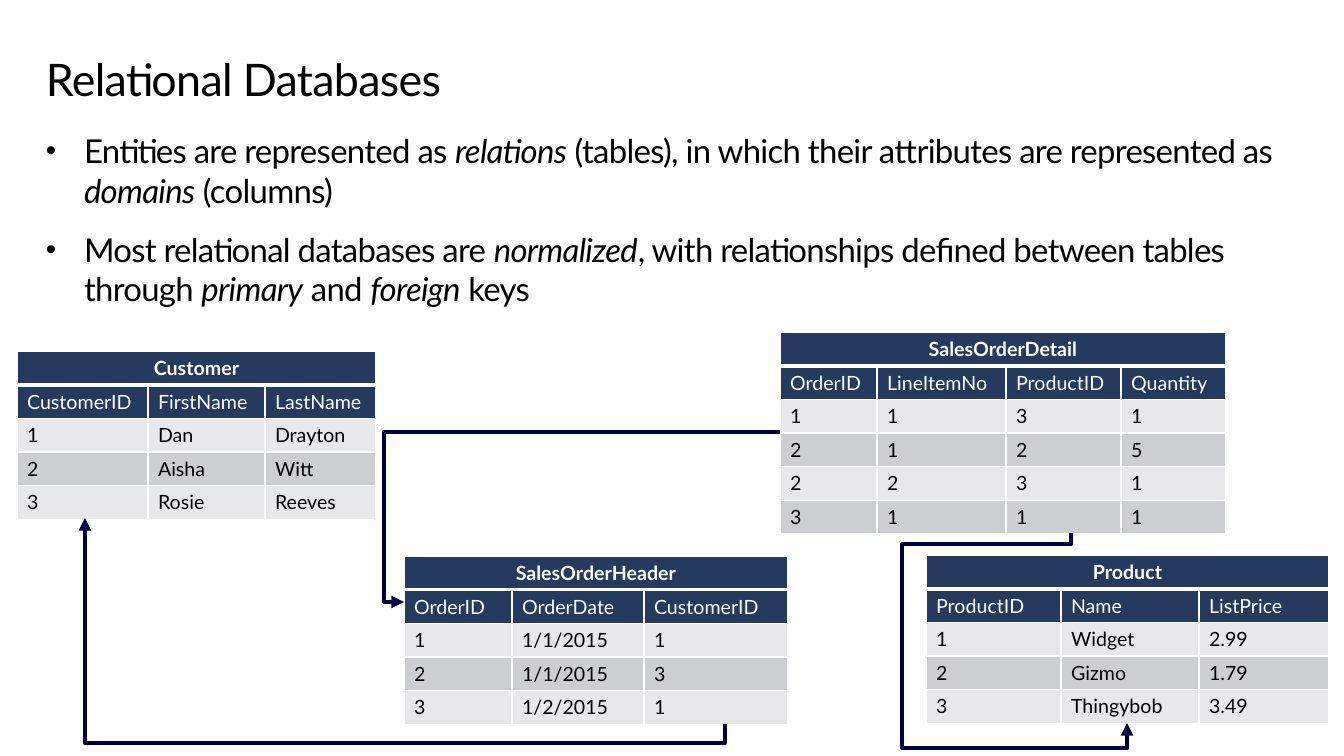
import dataclasses

import lxml.etree
import pptx
import pptx.dml.color
import pptx.enum.shapes
import pptx.enum.text
import pptx.oxml.ns
import pptx.shapes.base
import pptx.slide
import pptx.table
import pptx.text.text
import pptx.util

FONT = "Lato"
NAVY, DEEP, WHITE, BLACK = "243A5E", "000041", "FFFFFF", "000000"
BANDS = "E8E8EA", "CDCED2"
ROW = 33
INDENT = 38

qn = pptx.oxml.ns.qn


@dataclasses.dataclass
class Grid:
    name: str
    left: int
    top: int
    widths: list[int]
    rows: list[str]


@dataclasses.dataclass
class Elbow:
    left: int
    top: int
    width: int
    height: int
    turn: int
    flip: str
    bends: list[int]


GRIDS = [
    Grid("SalesOrderDetail", 780, 332, [97, 129, 115, 105],
         ["OrderID LineItemNo ProductID Quantity",
          "1 1 3 1", "2 1 2 5", "2 2 3 1", "3 1 1 1"]),
    Grid("Customer", 17, 351, [131, 117, 111],
         ["CustomerID FirstName LastName",
          "1 Dan Drayton", "2 Aisha Witt", "3 Rosie Reeves"]),
    Grid("Product", 926, 555, [135, 138, 130],
         ["ProductID Name ListPrice",
          "1 Widget 2.99", "2 Gizmo 1.79", "3 Thingybob 3.49"]),
    Grid("SalesOrderHeader", 404, 556, [108, 132, 144],
         ["OrderID OrderDate CustomerID",
          "1 1/1/2015 1", "2 1/1/2015 3", "3 1/2/2015 1"]),
]

ELBOWS = [
    Elbow(302, 301, 206, 640, 90, "flipH", [-9200]),
    Elbow(404, 432, 376, 170, 180, "flipV", [105400]),
    Elbow(1004, 600, 190, 56, 270, "flipH", [6000, -301700, 113200]),
]

POINTS = [
    "Entities are represented as *relations* (tables), in which their "
    "attributes are represented as *domains* (columns)",
    "Most relational databases are *normalized*, with relationships defined "
    "between tables through *primary* and *foreign* keys",
]


def px(count: int) -> int:
    return round(count * 914400 / 100.8)


def shade(code: str) -> pptx.dml.color.RGBColor:
    return pptx.dml.color.RGBColor.from_string(code)


def style(para: pptx.text.text._Paragraph, size: float, code: str) -> None:
    para.font.name = FONT
    para.font.size = pptx.util.Pt(size)
    para.font.color.rgb = shade(code)


def tighten(para: pptx.text.text._Paragraph) -> None:
    para._p.pPr.find(qn("a:defRPr")).set("spc", "-50")


def place(shape: pptx.shapes.base.BaseShape, left: int, top: int,
          width: int, height: int) -> None:
    shape.left, shape.top = px(left), px(top)
    shape.width, shape.height = px(width), px(height)


def set_frame(frame: pptx.text.text.TextFrame) -> None:
    frame.margin_left, frame.margin_right = 0, px(16)
    frame.margin_top = frame.margin_bottom = px(10)
    frame.vertical_anchor = pptx.enum.text.MSO_ANCHOR.TOP
    frame.word_wrap = True


def write_title(slide: pptx.slide.Slide) -> None:
    title = slide.shapes.title
    place(title, 46, 48, 1250, 75)
    set_frame(title.text_frame)
    title.text_frame.auto_size = pptx.enum.text.MSO_AUTO_SIZE.NONE
    title.text_frame.text = "Relational Databases"
    para = title.text_frame.paragraphs[0]
    para.alignment = pptx.enum.text.PP_ALIGN.LEFT
    para.line_spacing = 0.9
    style(para, 32, BLACK)
    tighten(para)


def write_list(slide: pptx.slide.Slide) -> None:
    body = slide.placeholders[1]
    place(body, 46, 121, 1270, 200)
    frame = body.text_frame
    set_frame(frame)
    frame.auto_size = pptx.enum.text.MSO_AUTO_SIZE.SHAPE_TO_FIT_TEXT
    for index, point in enumerate(POINTS):
        para = frame.add_paragraph() if index else frame.paragraphs[0]
        for part, words in enumerate(point.split("*")):
            run = para.add_run()
            run.text = words
            if part % 2:
                run.font.italic = True
        para.space_before = pptx.util.Pt(14)
        style(para, 23.5, BLACK)
        tighten(para)
        props = para._p.pPr
        props.set("marL", str(px(INDENT)))
        props.set("indent", str(-px(INDENT)))
        last = props.find(qn("a:defRPr"))
        for tag, key, value in (("a:buSzPct", "val", "90000"),
                                ("a:buFont", "typeface", "Arial"),
                                ("a:buChar", "char", "•")):
            mark = lxml.etree.Element(qn(tag))
            mark.set(key, value)
            last.addprevious(mark)


def edge(cell: pptx.table._Cell, side: str, width: int) -> None:
    line = lxml.etree.SubElement(cell._tc.get_or_add_tcPr(), qn(f"a:ln{side}"))
    line.set("w", str(pptx.util.Pt(width)))
    fill = lxml.etree.SubElement(line, qn("a:solidFill"))
    lxml.etree.SubElement(fill, qn("a:srgbClr")).set("val", WHITE)


def draw_grid(slide: pptx.slide.Slide, grid: Grid) -> None:
    rows = [[grid.name] + [""] * (len(grid.widths) - 1)]
    rows += [row.split() for row in grid.rows]
    table = slide.shapes.add_table(
        len(rows), len(grid.widths), px(grid.left), px(grid.top),
        px(sum(grid.widths)), px(ROW * len(rows))).table
    table.first_row = table.horz_banding = False
    for column, width in zip(table.columns, grid.widths):
        column.width = px(width)
    for r, row in enumerate(rows):
        for c, text in enumerate(row):
            cell = table.cell(r, c)
            for side in "LRTB":
                thick = (r, side) in ((0, "B"), (1, "T"))
                edge(cell, side, 3 if thick else 1)
            cell.fill.solid()
            cell.fill.fore_color.rgb = shade(NAVY if r < 2 else BANDS[r % 2])
            cell.text = text
            para = cell.text_frame.paragraphs[0]
            style(para, 14, WHITE if r < 2 else BLACK)
            para.font.bold = r == 0
            if r == 0:
                para.alignment = pptx.enum.text.PP_ALIGN.CENTER
    table.cell(0, 0).merge(table.cell(0, len(grid.widths) - 1))


def draw_elbow(slide: pptx.slide.Slide, elbow: Elbow) -> None:
    link = slide.shapes.add_connector(
        pptx.enum.shapes.MSO_CONNECTOR.ELBOW, 0, 0, 0, 0)
    place(link, elbow.left, elbow.top, elbow.width, elbow.height)
    link.line.color.rgb = shade(DEEP)
    link.line.width = pptx.util.Pt(3)
    props = link._element.spPr
    frame = props.find(qn("a:xfrm"))
    frame.set("rot", str(elbow.turn * 60000))
    frame.set(elbow.flip, "1")
    form = props.find(qn("a:prstGeom"))
    form.set("prst", f"bentConnector{len(elbow.bends) + 2}")
    guides = form.find(qn("a:avLst"))
    for index, bend in enumerate(elbow.bends, 1):
        guide = lxml.etree.SubElement(guides, qn("a:gd"))
        guide.set("name", f"adj{index}")
        guide.set("fmla", f"val {bend}")
    tail = lxml.etree.SubElement(props.find(qn("a:ln")), qn("a:tailEnd"))
    tail.set("type", "triangle")
    lxml.etree.SubElement(props, qn("a:effectLst"))


def main() -> None:
    deck = pptx.Presentation()
    deck.slide_width, deck.slide_height = px(1344), px(756)
    slide = deck.slides.add_slide(deck.slide_layouts[1])
    write_title(slide)
    write_list(slide)
    for grid in GRIDS:
        draw_grid(slide, grid)
    for elbow in ELBOWS:
        draw_elbow(slide, elbow)
    deck.save("out.pptx")


if __name__ == "__main__":
    main()
